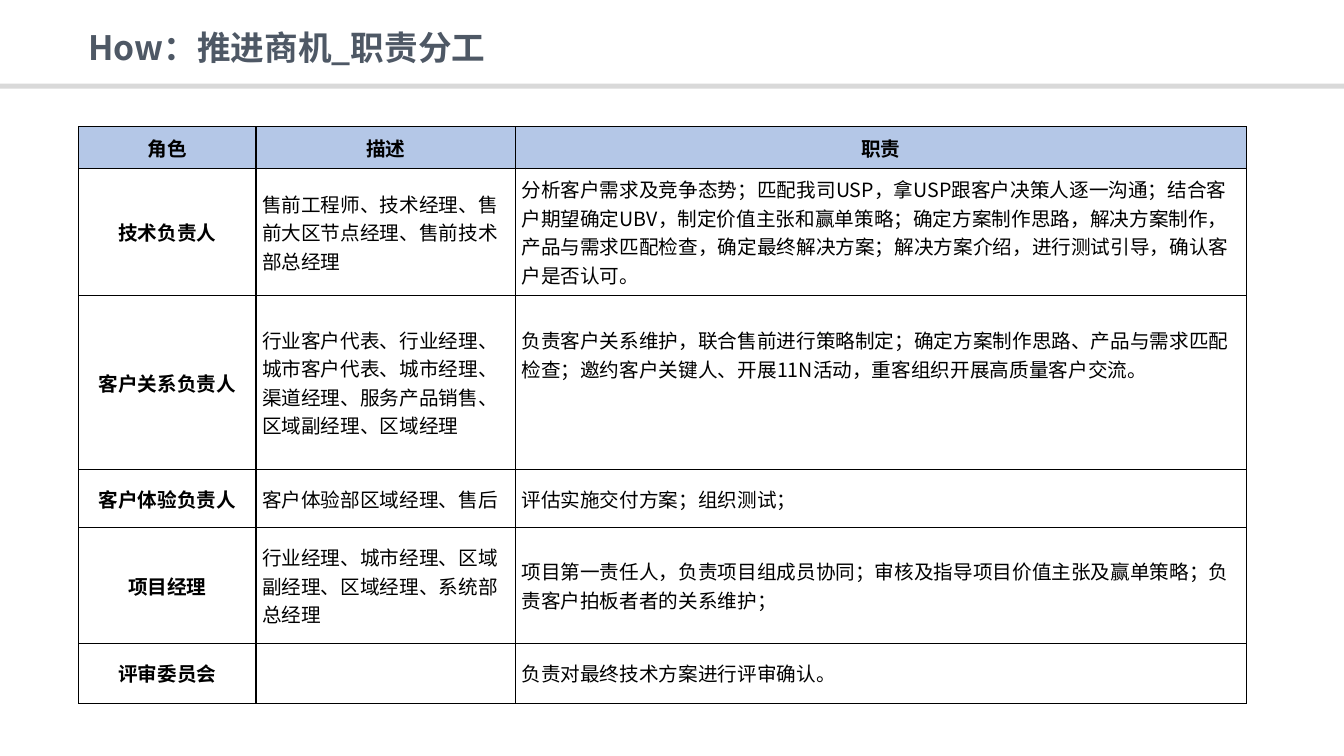
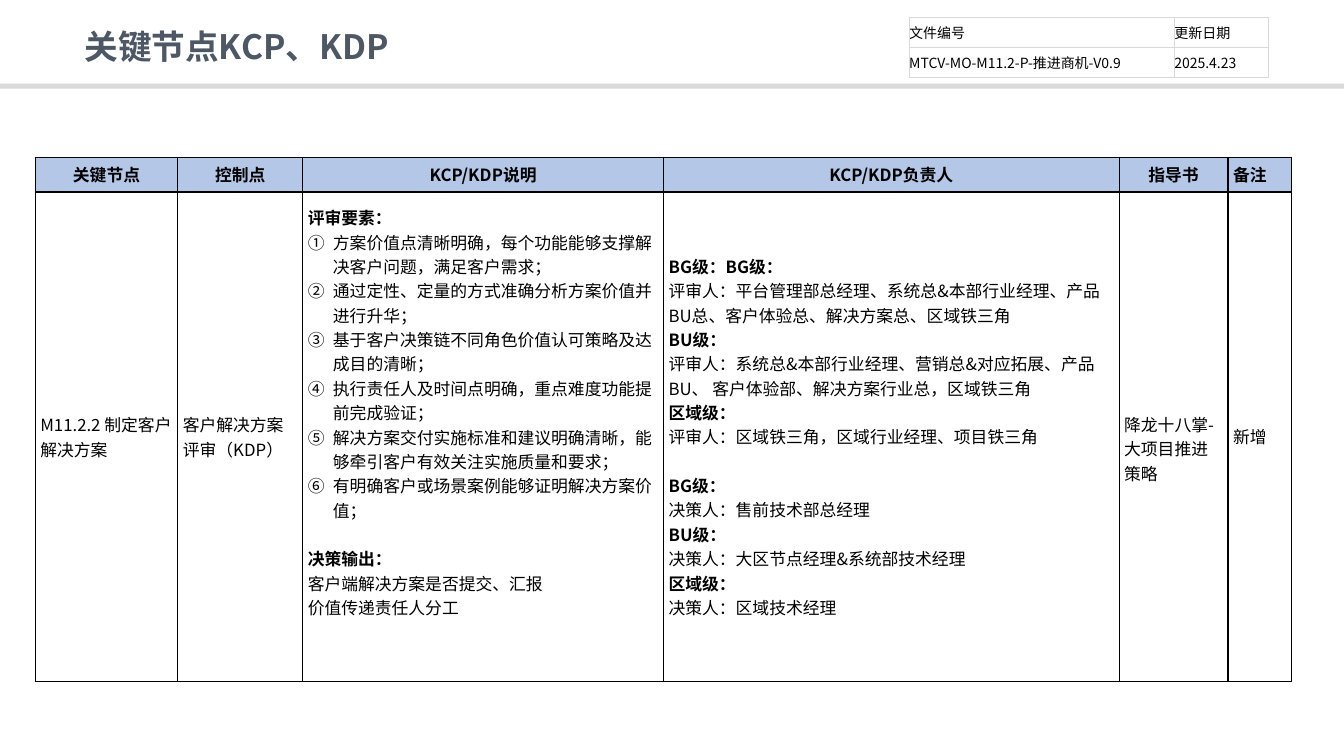
"""Build two slides on opportunity roles and key control points."""
from typing import NamedTuple

from lxml import etree
from pptx import Presentation
from pptx import util as u
from pptx.dml.color import RGBColor
from pptx.enum import shapes, text
from pptx.oxml.ns import qn

FONT = "Noto Sans CJK SC"
BLACK = RGBColor(0x00, 0x00, 0x00)
WHITE = RGBColor(0xFF, 0xFF, 0xFF)
SLATE = RGBColor(0x4E, 0x58, 0x65)
GREY = RGBColor(0xD9, 0xD9, 0xD9)
BLUE = RGBColor(0xB4, 0xC7, 0xE7)
CENTER = text.PP_ALIGN.CENTER
LEFT = text.PP_ALIGN.LEFT


class Para(NamedTuple):
    """A paragraph with its weight, numbering and gap above in points."""
    text: str
    bold: bool = False
    numbered: bool = False
    before: float = 0


class Cell(NamedTuple):
    """A cell's paragraphs and its extra top and bottom margins in inches."""
    paras: list
    top: float = 0
    bottom: float = 0
    align: object = None


def write(p, content, size=12, color=BLACK, bold=False, align=LEFT,
          before=0, spacing=None, numbered=False):
    """Write formatted text into a paragraph."""
    p.alignment = align
    if before:
        p.space_before = u.Pt(before)
    if spacing:
        p.line_spacing = spacing
    if numbered:
        pPr = p._p.get_or_add_pPr()
        pPr.set("marL", str(u.Inches(0.25)))
        pPr.set("indent", str(u.Inches(-0.25)))
        etree.SubElement(pPr, qn("a:buFont"), typeface=FONT)
        etree.SubElement(pPr, qn("a:buAutoNum"), type="circleNumDbPlain")
    r = p.add_run()
    r.text = content
    r.font.size = u.Pt(size)
    r.font.bold = bold
    r.font.color.rgb = color
    r.font.name = FONT
    etree.SubElement(r._r.get_or_add_rPr(), qn("a:ea"), typeface=FONT)


class Deck:
    """Hold the style and current slide; lengths are percent of the slide."""

    def __init__(self):
        self.prs = Presentation()
        self.prs.slide_width = u.Inches(13.33)
        self.prs.slide_height = u.Inches(7.5)
        self.s = None

    def x(self, share):
        """Turn a percentage of the slide width into a length."""
        return int(self.prs.slide_width * share / 100)

    def y(self, share):
        """Turn a percentage of the slide height into a length."""
        return int(self.prs.slide_height * share / 100)

    def slide(self, title, left, top):
        """Start a slide with its band and title."""
        self.s = self.prs.slides.add_slide(self.prs.slide_layouts[6])
        fill = self.s.background.fill
        fill.solid()
        fill.fore_color.rgb = WHITE
        self.band()
        self.title(title, left, top)

    def band(self):
        """Draw the grey band under the title."""
        sp = self.s.shapes.add_shape(shapes.MSO_SHAPE.RECTANGLE, 0,
                                     self.y(11.07), self.x(100), self.y(0.67))
        sp.shadow.inherit = False
        sp.fill.solid()
        sp.fill.fore_color.rgb = GREY
        sp.line.fill.background()

    def title(self, content, left, top):
        """Write the slide title."""
        sp = self.s.shapes.add_textbox(self.x(left), self.y(top),
                                       self.x(58), self.y(6))
        tf = sp.text_frame
        tf.word_wrap = True
        tf.margin_top = tf.margin_bottom = 0
        write(tf.paragraphs[0], content, size=24, color=SLATE, bold=True,
              spacing=0.9)

    def table(self, left, top, cols, heights, rows, size, margin=0.05,
              border=BLACK, header=True, bold_first=False):
        """Add a bordered table of strings and Cell values."""
        tbl = self.s.shapes.add_table(
            len(rows), len(cols), self.x(left), self.y(top),
            self.x(sum(cols)), self.y(sum(heights))).table
        tbl.first_row = tbl.horz_banding = False
        for column, width in zip(tbl.columns, cols):
            column.width = self.x(width)
        for row, height in zip(tbl.rows, heights):
            row.height = self.y(height)
        for i, row in enumerate(rows):
            for j, value in enumerate(row):
                head = header and i == 0
                strong = head or (bold_first and j == 0)
                if isinstance(value, str):
                    value = Cell([Para(value, strong)])
                tc = tbl.cell(i, j)
                self.borders(tc, border)
                self.fill_cell(tc, value, size, margin,
                               CENTER if strong else LEFT)
                if head:
                    tc.fill.solid()
                    tc.fill.fore_color.rgb = BLUE
                else:
                    tc.fill.background()

    def borders(self, tc, color):
        """Draw a one-point line on each side of a cell."""
        tcPr = tc._tc.get_or_add_tcPr()
        for side in ("lnL", "lnR", "lnT", "lnB"):
            ln = etree.SubElement(tcPr, qn(f"a:{side}"), w=str(u.Pt(1)))
            fill = etree.SubElement(ln, qn("a:solidFill"))
            etree.SubElement(fill, qn("a:srgbClr"), val=str(color))

    def fill_cell(self, tc, value, size, margin, align):
        """Set a cell's margins and write its paragraphs."""
        tc.vertical_anchor = text.MSO_ANCHOR.MIDDLE
        tc.margin_left = tc.margin_right = u.Inches(margin)
        tc.margin_top = u.Inches(margin + value.top)
        tc.margin_bottom = u.Inches(margin + value.bottom)
        tf = tc.text_frame
        for k, para in enumerate(value.paras):
            p = tf.add_paragraph() if k else tf.paragraphs[0]
            write(p, para.text, size=size, bold=para.bold,
                  align=value.align or align, before=para.before,
                  numbered=para.numbered)


ROLES = [
    ["角色", "描述", "职责"],
    ["技术负责人", "售前工程师、技术经理、售前大区节点经理、售前技术部总经理",
     "分析客户需求及竞争态势；匹配我司USP，拿USP跟客户决策人逐一沟通；"
     "结合客户期望确定UBV，制定价值主张和赢单策略；确定方案制作思路，"
     "解决方案制作，产品与需求匹配检查，确定最终解决方案；"
     "解决方案介绍，进行测试引导，确认客户是否认可。"],
    ["客户关系负责人",
     "行业客户代表、行业经理、城市客户代表、城市经理、渠道经理、"
     "服务产品销售、区域副经理、区域经理",
     Cell([Para("负责客户关系维护，联合售前进行策略制定；确定方案制作思路、"
                "产品与需求匹配检查；邀约客户关键人、开展11N活动，"
                "重客组织开展高质量客户交流。")], bottom=0.56)],
    ["客户体验负责人", "客户体验部区域经理、售后", "评估实施交付方案；组织测试；"],
    ["项目经理", "行业经理、城市经理、区域副经理、区域经理、系统部总经理",
     "项目第一责任人，负责项目组成员协同；审核及指导项目价值主张及赢单策略；"
     "负责客户拍板者者的关系维护；"],
    ["评审委员会", "", "负责对最终技术方案进行评审确认。"],
]

DOCUMENT = [
    ["文件编号", "更新日期"],
    ["MTCV-MO-M11.2-P-推进商机-V0.9", "2025.4.23"],
]

CRITERIA = [
    "方案价值点清晰明确，每个功能能够支撑解决客户问题，满足客户需求；",
    "通过定性、定量的方式准确分析方案价值并进行升华；",
    "基于客户决策链不同角色价值认可策略及达成目的清晰；",
    "执行责任人及时间点明确，重点难度功能提前完成验证；",
    "解决方案交付实施标准和建议明确清晰，能够牵引客户有效关注实施质量和要求；",
    "有明确客户或场景案例能够证明解决方案价值；",
]

EXPLANATION = Cell(
    [Para("评审要素：", True)]
    + [Para(item, numbered=True) for item in CRITERIA]
    + [Para("决策输出：", True, before=17.4),
       Para("客户端解决方案是否提交、汇报"),
       Para("价值传递责任人分工")],
    bottom=0.48)

OWNERS = Cell([
    Para("BG级：BG级：", True),
    Para("评审人：平台管理部总经理、系统总&本部行业经理、产品BU总、"
         "客户体验总、解决方案总、区域铁三角"),
    Para("BU级：", True),
    Para("评审人：系统总&本部行业经理、营销总&对应拓展、产品BU、 "
         "客户体验部、解决方案行业总，区域铁三角"),
    Para("区域级：", True),
    Para("评审人：区域铁三角，区域行业经理、项目铁三角"),
    Para("BG级：", True, before=17.4),
    Para("决策人：售前技术部总经理"),
    Para("BU级：", True),
    Para("决策人：大区节点经理&系统部技术经理"),
    Para("区域级：", True),
    Para("决策人：区域技术经理"),
])

KEY_POINTS = [
    ["关键节点", "控制点", "KCP/KDP说明", "KCP/KDP负责人", "指导书",
     Cell([Para("备注", True)], align=LEFT)],
    ["M11.2.2 制定客户解决方案", "客户解决方案评审（KDP）", EXPLANATION, OWNERS,
     Cell([Para("降龙十八掌-大项目推进策略")], top=0.24), "新增"],
]


def main():
    """Build and save the slides."""
    deck = Deck()
    deck.slide("How：推进商机_职责分工", 5.85, 4.1)
    deck.table(5.85, 16.75, [13.2, 19.3, 54.4],
               [5.55, 16.8, 23, 7.7, 15.3, 7.95], ROLES, 14, margin=0.06,
               bold_first=True)
    deck.slide("关键节点KCP、KDP", 5.55, 4)
    deck.table(67.65, 2.27, [19.73, 7], [4, 4], DOCUMENT, 10, margin=0,
               border=GREY, header=False)
    deck.table(2.63, 20.8, [10.6, 9.3, 26.85, 33.9, 8.1, 4.7], [4.6, 64.7],
               KEY_POINTS, 12)
    deck.prs.save("out.pptx")


if __name__ == "__main__":
    main()
